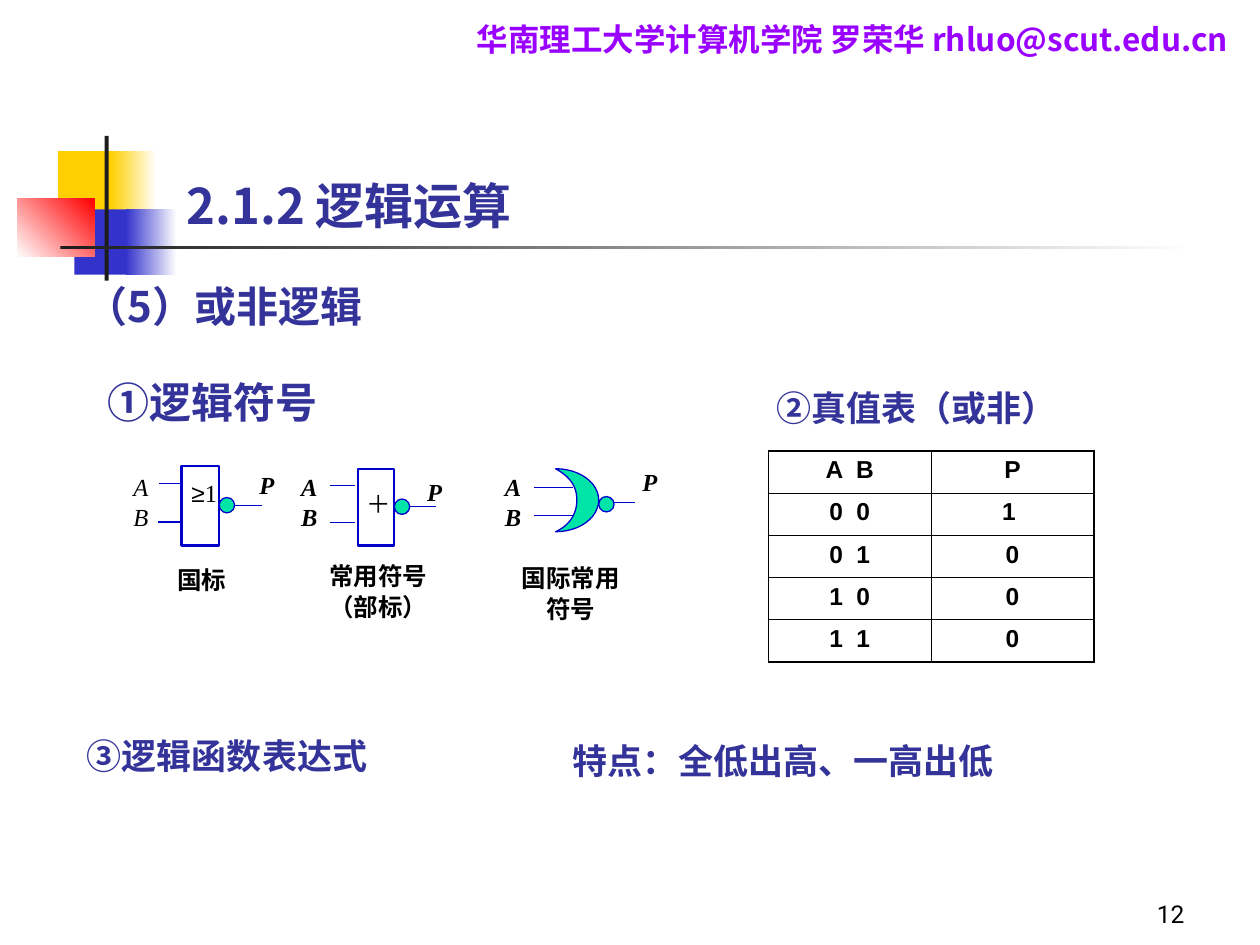
from pptx import Presentation
from pptx.dml.color import RGBColor
from pptx.enum.shapes import MSO_CONNECTOR, MSO_SHAPE
from pptx.enum.text import MSO_ANCHOR, PP_ALIGN
from pptx.oxml import parse_xml
from pptx.oxml.ns import nsdecls, qn
from pptx.util import Cm, Pt
from lxml.etree import SubElement

BLACK = RGBColor(0x00, 0x00, 0x00)
WHITE = RGBColor(0xFF, 0xFF, 0xFF)
YELLOW = RGBColor(0xFF, 0xCF, 0x01)
BLUE = RGBColor(0x33, 0x33, 0xCC)
RED = RGBColor(0xFF, 0x00, 0x00)
DARK = RGBColor(0x1C, 0x1C, 0x1C)
PURPLE = RGBColor(0x99, 0x00, 0xFF)
HEADING = RGBColor(0x33, 0x33, 0x99)
GATE_LINE = RGBColor(0x00, 0x00, 0xCC)
GATE_FILL = RGBColor(0x00, 0xE4, 0xA8)
CJK = "Noto Sans CJK SC"
SERIF = "Times New Roman"

presentation = Presentation()
presentation.slide_width = Cm(25.4)
presentation.slide_height = Cm(19.05)
slide = presentation.slides.add_slide(presentation.slide_layouts[6])
shapes = slide.shapes


def add_text(box, text, size, font=CJK, color=BLACK, bold=False, italic=False,
             align=PP_ALIGN.LEFT, spacing=None):
    """Add a wrapped text box; box is left, top, width, height in cm."""
    frame = shapes.add_textbox(*map(Cm, box)).text_frame
    frame.word_wrap = True
    frame.text = text
    for paragraph in frame.paragraphs:
        paragraph.alignment = align
        if spacing:
            paragraph.line_spacing = spacing
        for run in paragraph.runs:
            run.font.name = font
            run.font.size = Pt(size)
            run.font.bold = bold
            run.font.italic = italic
            run.font.color.rgb = color
            east_asian = SubElement(run.font._element, qn("a:ea"))
            east_asian.set("typeface", CJK)
    return frame


def outline(shape, fill=None, line_width=0.75):
    """Give a gate part its fill and blue outline."""
    shape.shadow.inherit = False
    if fill is None:
        shape.fill.background()
    else:
        shape.fill.solid()
        shape.fill.fore_color.rgb = fill
    shape.line.color.rgb = GATE_LINE
    shape.line.width = Pt(line_width)


# Corner decoration: start colour, end colour (None for solid), angle
for box, start, end, angle in [
    ((1.17, 3.05, 1.22, 1.32), YELLOW, None, 0),
    ((2.24, 3.05, 0.91, 1.32), YELLOW, WHITE, 0),
    ((1.5, 4.22, 1.17, 1.32), BLUE, None, 0),
    ((2.54, 4.22, 1.02, 1.32), BLUE, WHITE, 0),
    ((0.35, 4.01, 1.55, 1.17), WHITE, RED, 45),
    ((2.11, 2.74, 0.08, 2.92), DARK, None, 0),
    ((1.22, 4.95, 22.86, 0.08), DARK, WHITE, 0),
]:
    block = shapes.add_shape(MSO_SHAPE.RECTANGLE, *map(Cm, box))
    block.shadow.inherit = False
    block.line.fill.background()
    if end is None:
        block.fill.solid()
        block.fill.fore_color.rgb = start
    else:
        block.fill.gradient()
        block.fill.gradient_angle = angle
        for stop, color, position in zip(block.fill.gradient_stops, (start, end), (0, 1)):
            stop.color.rgb = color
            stop.position = position

# Header, title and section headings
for box, text, size, color, align in [
    ((8.13, 0.23, 18.11, 1.02), "华南理工大学计算机学院 罗荣华 rhluo@scut.edu.cn", 18, PURPLE, PP_ALIGN.CENTER),
    ((3.51, 3.33, 18.62, 1.45), "2.1.2 逻辑运算", 28, HEADING, PP_ALIGN.LEFT),
    ((1.47, 5.46, 22.86, 1.27), "（5）或非逻辑", 24, HEADING, PP_ALIGN.LEFT),
    ((1.91, 7.39, 6.78, 1.27), "①逻辑符号", 24, HEADING, PP_ALIGN.LEFT),
    ((15.09, 7.62, 6.78, 1.12), "②真值表（或非）", 20, HEADING, PP_ALIGN.CENTER),
    ((1.5, 14.63, 7.8, 1.12), "③逻辑函数表达式", 20, HEADING, PP_ALIGN.LEFT),
    ((11.3, 14.73, 13.21, 1.12), "特点：全低出高、一高出低", 20, HEADING, PP_ALIGN.LEFT),
]:
    add_text(box, text, size, color=color, bold=True, align=align, spacing=Pt(size * 1.28))

# Slide number
number = add_text((18.85, 17.58, 5.28, 1.27), "12", 14, font="Roboto", align=PP_ALIGN.RIGHT)
number.vertical_anchor = MSO_ANCHOR.BOTTOM

# Truth table
truth_rows = [("A  B", "P"), ("0  0", "1 "), ("0  1", "0"), ("1  0", "0"), ("1  1", "0")]
truth_table = shapes.add_table(5, 2, Cm(15.49), Cm(9.09), Cm(6.56), Cm(4.25)).table
truth_table.first_row = False
truth_table.horz_banding = False
for row, values in enumerate(truth_rows):
    truth_table.rows[row].height = Cm(0.85)
    for column, value in enumerate(values):
        cell = truth_table.cell(row, column)
        cell.text = value
        cell.vertical_anchor = MSO_ANCHOR.MIDDLE
        cell.margin_top, cell.margin_bottom = Cm(0.08), Cm(0.15)
        paragraph = cell.text_frame.paragraphs[0]
        paragraph.alignment = PP_ALIGN.CENTER
        font = paragraph.runs[0].font
        font.name, font.size, font.bold = "Arial", Pt(14), True
        font.color.rgb = BLACK
        outer = {"L": column == 0, "R": column == 1, "T": row == 0, "B": row == 4}
        for side, is_outer in outer.items():
            width = Pt(1.08 if is_outer else 0.45)
            cell._tc.get_or_add_tcPr().append(parse_xml(
                f'<a:ln{side} {nsdecls("a")} w="{width}"><a:solidFill>'
                f'<a:srgbClr val="{BLACK}"/></a:solidFill></a:ln{side}>'))
        cell.fill.background()

# Gate bodies
for box in [(3.66, 9.4, 0.76, 1.6), (7.21, 9.45, 0.74, 1.55)]:
    outline(shapes.add_shape(MSO_SHAPE.RECTANGLE, *map(Cm, box)), line_width=1.25)

# Input and output wires: start x, end x, y
for start, end, y in [
    (3.2, 3.66, 9.75), (3.18, 3.63, 10.52), (4.65, 5.28, 10.19),
    (6.65, 7.16, 9.78), (6.65, 7.16, 10.54), (8.0, 8.79, 10.21),
    (10.77, 11.56, 9.83), (10.77, 11.56, 10.39), (12.32, 12.8, 10.13),
]:
    wire = shapes.add_connector(MSO_CONNECTOR.STRAIGHT, Cm(start), Cm(y), Cm(end), Cm(y))
    wire.line.color.rgb = GATE_LINE
    wire.line.width = Pt(0.75)
    SubElement(wire._element.spPr, qn("a:effectLst"))

# Negation bubbles
for left, top in [(4.42, 10.03), (7.95, 10.06), (12.07, 10.01)]:
    outline(shapes.add_shape(MSO_SHAPE.OVAL, Cm(left), Cm(top), Cm(0.31), Cm(0.31)), GATE_FILL)

# Crescent body of the international gate, sampled along four cubic curves
crescent = []
for curve in [
    ((11.2, 9.45), (11.43, 9.58), (11.63, 9.75), (11.63, 10.08)),
    ((11.63, 10.08), (11.63, 10.41), (11.43, 10.62), (11.2, 10.72)),
    ((11.2, 10.72), (11.68, 10.72), (12.07, 10.44), (12.07, 10.08)),
    ((12.07, 10.08), (12.07, 9.73), (11.68, 9.45), (11.2, 9.45)),
]:
    for step in range(12):
        t = step / 12
        weights = ((1 - t) ** 3, 3 * t * (1 - t) ** 2, 3 * t * t * (1 - t), t ** 3)
        crescent.append([Cm(sum(w * p[axis] for w, p in zip(weights, curve))) for axis in (0, 1)])
builder = shapes.build_freeform(*crescent[0])
builder.add_line_segments(crescent[1:], close=True)
outline(builder.convert_to_shape(), GATE_FILL)

# Signs inside the gates
at_least_one = add_text((3.61, 9.35, 1.22, 0.79), "≥", 14, font="Arial", spacing=1.28)
one = at_least_one.paragraphs[0].add_run()
one.text = "1"
one.font.name, one.font.size = SERIF, Pt(14)
one.font.color.rgb = BLACK
add_text((7.01, 9.7, 1.27, 0.86), "＋", 14, align=PP_ALIGN.CENTER, spacing=Pt(17.9))

# Input and output names
for left, top, text, bold in [
    (2.44, 9.4, "A\nB", False), (4.98, 9.35, "P", True),
    (5.82, 9.4, "A\nB", True), (8.36, 9.5, "P", True),
    (9.93, 9.4, "A\nB", True), (12.7, 9.3, "P", True),
]:
    add_text((left, top, 0.98, 1.37), text, 14, font=SERIF, bold=bold, italic=True)

# Captions under the gates
for box, text in [
    ((3.28, 11.23, 1.57, 0.81), "国标"),
    ((6.07, 11.15, 3.12, 1.52), "常用符号\n（部标）"),
    ((10.16, 11.2, 2.69, 1.73), "国际常用符号"),
]:
    add_text(box, text, 14, font=SERIF, bold=True, align=PP_ALIGN.CENTER, spacing=Pt(17.7))

presentation.save("out.pptx")
